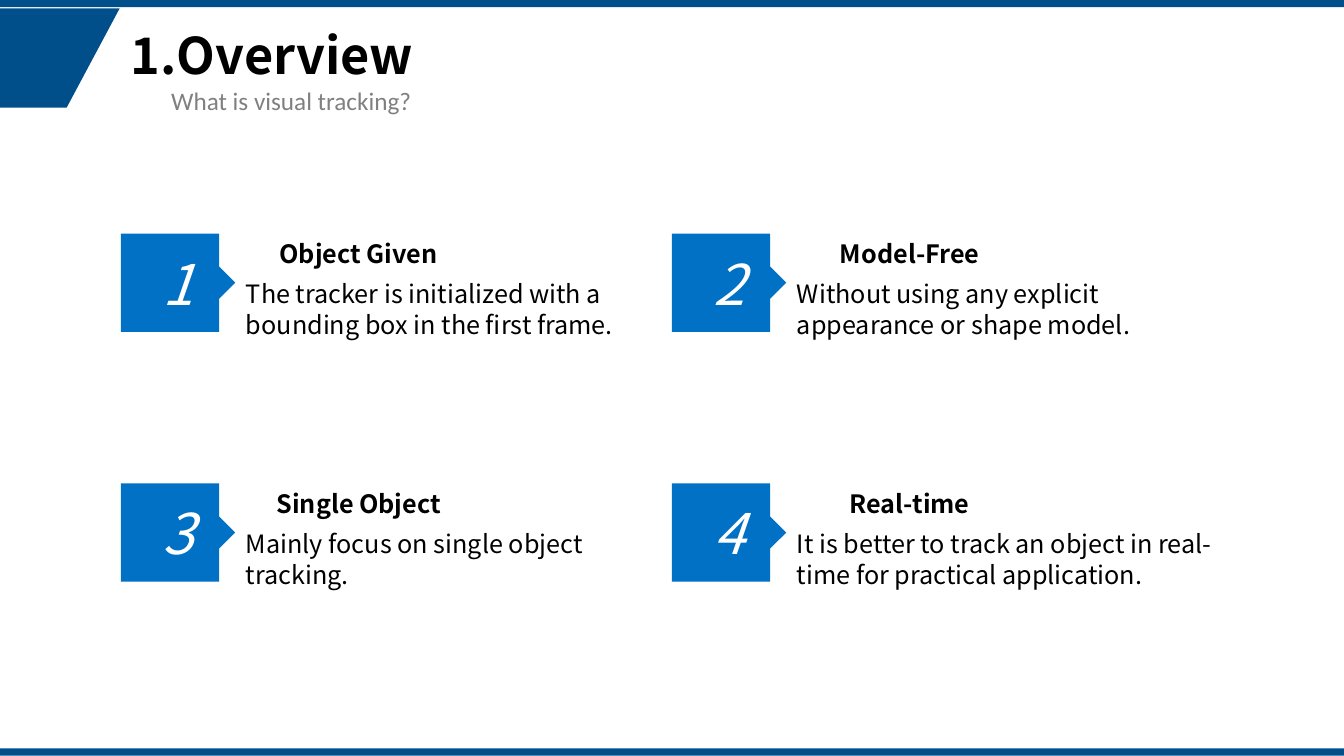
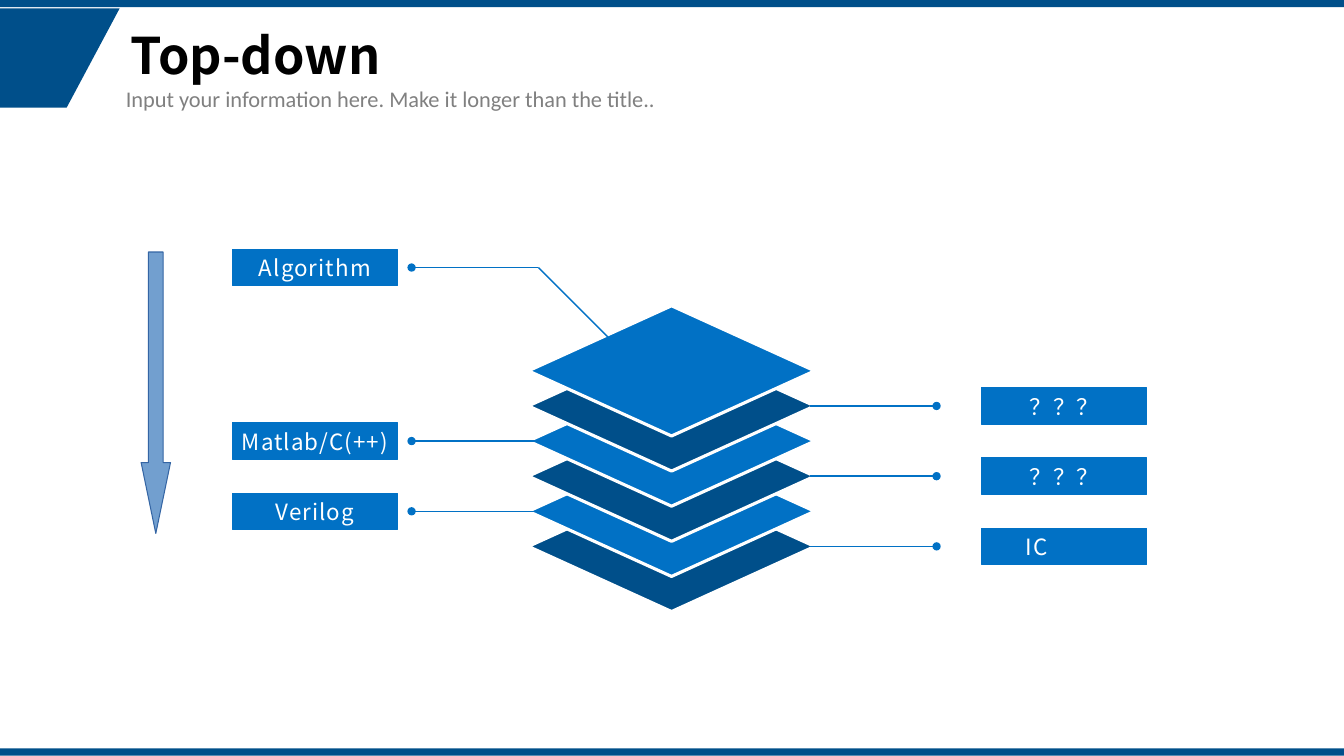
from collections import namedtuple

from lxml.etree import SubElement
from pptx import Presentation
from pptx.dml.color import RGBColor
from pptx.enum.shapes import MSO_CONNECTOR as Link, MSO_SHAPE as Preset
from pptx.enum.text import MSO_ANCHOR as Anchor, PP_ALIGN as Align
from pptx.oxml.ns import qn
from pptx.util import Inches, Pt

# The slide is a grid of 160 columns by 90 rows; every length counts cells
COLUMNS, ROWS = 160, 90
CELL = Inches(7.5) / ROWS
Area = namedtuple("Area", "left top width height")

NAVY, BLUE, WHITE, BLACK, GREY = "004F8A", "0171C5", "FFFFFF", "000000", "808080"
SANS, PLAIN = "Noto Sans CJK SC", "Calibri"

TITLE = dict(name=SANS, size=Pt(36), bold=True)
HEADING = dict(name=SANS, size=Pt(18), bold=True)
BODY = dict(name=SANS, size=Pt(18))
NUMBER = dict(name=SANS, size=Pt(40), italic=True)
LABEL = dict(name=SANS, size=Pt(16))


def cells(*counts):
    return [round(count * CELL) for count in counts]


def color(hex_text):
    return RGBColor.from_string(hex_text)


def write(shape, text, style, ink=BLACK, align=Align.LEFT, anchor=Anchor.TOP,
          spacing=None, tracking=None):
    """Put one formatted paragraph into a shape."""
    frame = shape.text_frame
    frame.word_wrap = True
    frame.vertical_anchor = anchor
    para = frame.paragraphs[0]
    para.alignment = align
    if spacing:
        para.line_spacing = spacing
    span = para.add_run()
    span.text = text
    for key, value in style.items():
        setattr(span.font, key, value)
    span.font.color.rgb = color(ink)
    properties = span._r.get_or_add_rPr()
    SubElement(properties, qn("a:ea"), typeface=style["name"])
    if tracking:
        properties.set("spc", str(tracking))
    return frame


def add_text(page, area, text, style, **options):
    return write(page.shapes.add_textbox(*cells(*area)), text, style, **options)


def paint(shape, fill, line=None, weight=0.75):
    shape.shadow.inherit = False
    shape.fill.solid()
    shape.fill.fore_color.rgb = color(fill)
    if line:
        shape.line.color.rgb = color(line)
        shape.line.width = Pt(weight)
    else:
        shape.line.fill.background()
    return shape


def add_preset(page, kind, area, fill, **outline):
    return paint(page.shapes.add_shape(kind, *cells(*area)), fill, **outline)


def add_outline(page, points, fill):
    start, *others = [cells(*point) for point in points]
    builder = page.shapes.build_freeform(*start, scale=1.0)
    builder.add_line_segments(others, close=True)
    return paint(builder.convert_to_shape(), fill)


def add_line(page, start, end, dot=False):
    line = page.shapes.add_connector(Link.STRAIGHT, *cells(*start, *end))
    line.line.color.rgb = color(BLUE)
    line.line.width = Pt(1)
    if dot:
        SubElement(line.line._get_or_add_ln(), qn("a:tailEnd"), type="oval")
    SubElement(line._element.spPr, qn("a:effectLst"))


def add_page(deck, title, subtitle, subtitle_left, subtitle_size):
    """Blank page with the shared bands, corner, title and subtitle."""
    page = deck.slides.add_slide(deck.slide_layouts[6])
    add_outline(page, [(0, 1), (14.25, 1), (7.95, 12.8), (0, 12.8)], NAVY)
    for top in (0, ROWS - 0.9):
        add_preset(page, Preset.RECTANGLE, Area(0, top, COLUMNS, 0.85), NAVY)
    add_text(page, Area(14.4, 1, 134.5, 11.9), title, TITLE,
             anchor=Anchor.MIDDLE, spacing=0.9)
    add_text(page, Area(subtitle_left, 9.6, 93.5, 4.7), subtitle,
             dict(name=PLAIN, size=Pt(subtitle_size)), ink=GREY)
    return page


def add_card(page, area, number, heading, body):
    """Numbered tag pointing right, with a heading over a short text."""
    left, top, width, _ = area
    side, notch = 11.7, 1.9
    middle, right = top + side / 2, left + side
    tag = add_outline(page, [
        (left, top), (right, top), (right, middle - notch),
        (right + notch, middle), (right, middle + notch),
        (right, top + side), (left, top + side)], BLUE)
    write(tag, str(number), NUMBER, ink=WHITE, align=Align.CENTER,
          anchor=Anchor.MIDDLE)
    text_left = left + side + 2
    add_text(page, Area(text_left, top, 29.2, 4.7), heading, HEADING,
             align=Align.CENTER)
    add_text(page, Area(text_left, top + 4.8, width - side - 2, 8.3), body, BODY)


def add_cards(page, area, cards):
    """Cards in two columns, numbered row by row."""
    column_step, row_step = 65.6, 29.75
    for index, (heading, body) in enumerate(cards):
        row, column = divmod(index, 2)
        card = Area(area.left + column * column_step, area.top + row * row_step,
                    area.width - column_step, area.height - row_step)
        add_card(page, card, index + 1, heading, body)


def add_label(page, left, middle, text, shift=0):
    """Filled label centred on a row; shift moves its text to the left."""
    height = 4.35
    box = add_preset(page, Preset.RECTANGLE,
                     Area(left, middle - height / 2, 19.6, height), BLUE, line=BLUE)
    frame = write(box, text, LABEL, ink=WHITE, align=Align.CENTER, tracking=80)
    frame.margin_left, frame.margin_right = cells(0.3, 0.3 + 2 * shift)


def add_stack(page, area, layers):
    """Overlapping diamonds, each with a callout to the left or right."""
    height = 15.5
    step = (area.height - height) / (len(layers) - 1)
    middles = [area.top + height / 2 + step * index for index in range(len(layers))]
    for index in reversed(range(len(layers))):
        add_preset(page, Preset.FLOWCHART_DECISION,
                   Area(area.left, area.top + step * index, area.width, height),
                   NAVY if index % 2 else BLUE, line=WHITE, weight=2.25)

    # The top callout is raised and reaches its layer by a diagonal
    rise, inset, reach = 12.3, 1.2, 15.1
    left, right = area.left + inset, area.left + area.width - inset / 2
    add_line(page, (left, middles[0] - rise), (left + 12, middles[0] - rise + 12))
    for index, (text, shift) in enumerate(layers):
        middle = middles[index] - (0 if index else rise)
        if index % 2:
            add_line(page, (right, middle), (right + reach, middle), dot=True)
            add_label(page, right + reach + 5.4, middle, text, shift)
        else:
            add_line(page, (left, middle), (left - reach, middle), dot=True)
            add_label(page, left - reach - 21.3, middle, text, shift)


def add_direction(page, area):
    """Long arrow showing the way down."""
    arrow = add_preset(page, Preset.DOWN_ARROW, area, "729FCF", line="3465A4")
    arrow.adjustments[0], arrow.adjustments[1] = 0.5, 2.41


def main():
    deck = Presentation()
    deck.slide_width, deck.slide_height = cells(COLUMNS, ROWS)

    overview = add_page(deck, "1.Overview", "What is visual tracking?", 19.2, 18)
    add_cards(overview, Area(14.4, 27.8, 131, 42.85), [
        ("Object Given",
         "The tracker is initialized with a bounding box in the first frame."),
        ("Model-Free", "Without using any explicit appearance or shape model."),
        ("Single Object", "Mainly focus on single object tracking."),
        ("Real-time",
         "It is better to track an object in real-time for practical application."),
    ])

    top_down = add_page(
        deck, "Top-down",
        "Input your information here. Make it longer than the title..", 13.8, 16)
    add_stack(top_down, Area(62.9, 36.4, 34.1, 36.4), [
        ("Algorithm", 0), ("？？？", 0), ("Matlab/C(++)", 0),
        ("？？？", 0), ("Verilog", 0), ("IC", 3.3)])
    add_direction(top_down, Area(16.8, 30, 3.5, 33.5))

    deck.save("out.pptx")


if __name__ == "__main__":
    main()
